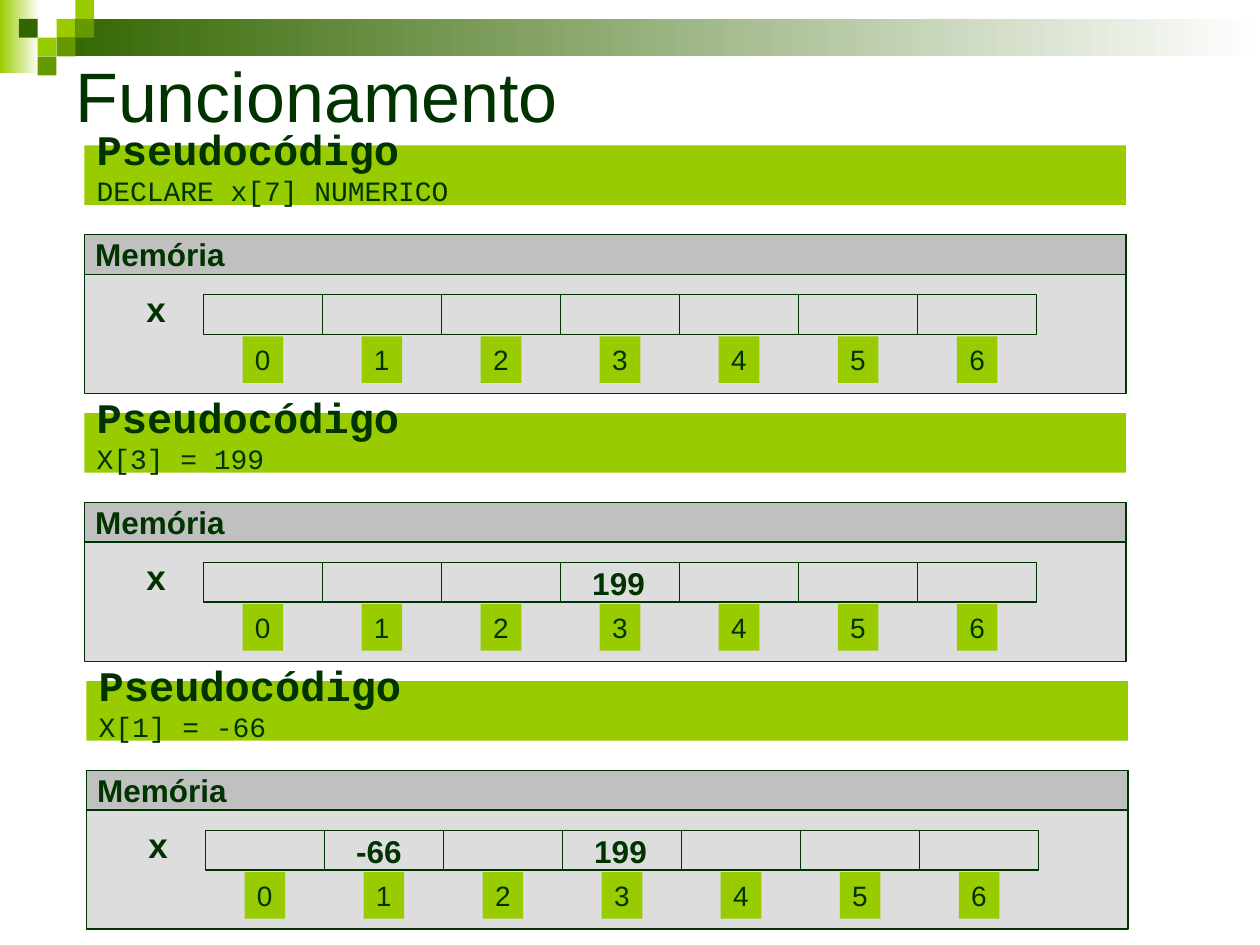
from dataclasses import dataclass

from pptx import Presentation
from pptx.dml.color import RGBColor as Rgb
from pptx.enum.shapes import MSO_SHAPE as Shape
from pptx.enum.text import MSO_ANCHOR as Anchor
from pptx.enum.text import MSO_AUTO_SIZE as AutoSize
from pptx.enum.text import PP_ALIGN as Align
from pptx.util import Cm, Pt


@dataclass(frozen=True)
class Theme:
    ink: str = "003300"
    lime: str = "99CC00"
    green: str = "669900"
    forest: str = "336600"
    memory: str = "DDDDDD"
    strip: str = "C0C0C0"
    white: str = "FFFFFF"
    sans: str = "Arial"
    mono: str = "Courier New"
    title_size: int = 40
    code_heading_size: int = 24
    variable_size: int = 20
    label_size: int = 18
    small_size: int = 16
    outline: float = 0.75


THEME = Theme()
TILE = 0.38
CELL_COUNT = 7
CELL_WIDTH = 2.4
CELLS_LEFT = 2.4


def add_block(shapes, left, top, width, height, fill=None, outlined=False):
    block = shapes.add_shape(Shape.RECTANGLE, Cm(left), Cm(top), Cm(width), Cm(height))
    block.shadow.inherit = False
    if fill:
        block.fill.solid()
        block.fill.fore_color.rgb = Rgb.from_string(fill)
    else:
        block.fill.background()
    if outlined:
        block.line.color.rgb = Rgb.from_string(THEME.ink)
        block.line.width = Pt(THEME.outline)
    else:
        block.line.fill.background()
    return block


def add_fade(shapes, left, top, width, height, start):
    fade = add_block(shapes, left, top, width, height)
    fade.fill.gradient()
    fade.fill.gradient_angle = 0
    for stop, color in zip(fade.fill.gradient_stops, (start, THEME.white)):
        stop.color.rgb = Rgb.from_string(color)


def add_run(paragraph, text, size, font=THEME.sans, bold=False):
    paragraph.alignment = Align.LEFT
    run = paragraph.add_run()
    run.text = text
    run.font.name = font
    run.font.size = Pt(size)
    run.font.bold = bold
    run.font.color.rgb = Rgb.from_string(THEME.ink)


def write_label(holder, text, size, bold=False):
    frame = holder.text_frame
    frame.word_wrap = False
    frame.auto_size = AutoSize.SHAPE_TO_FIT_TEXT
    frame.vertical_anchor = Anchor.TOP
    add_run(frame.paragraphs[0], text, size, bold=bold)


def add_label(shapes, left, top, width, height, text, size):
    label = shapes.add_textbox(Cm(left), Cm(top), Cm(width), Cm(height))
    write_label(label, text, size, bold=True)


def add_corner(slide):
    shapes = slide.shapes.add_group_shape().shapes
    add_fade(shapes, 0, 0, 0.79, 1.47, THEME.lime)
    add_fade(shapes, 3 * TILE, TILE, 24.26, 2 * TILE, THEME.forest)
    tiles = [
        (3, 1, THEME.lime), (4, 0, THEME.lime), (4, 1, THEME.green), (2, 2, THEME.lime),
        (1, 1, THEME.forest), (3, 2, THEME.green), (2, 3, THEME.green),
    ]
    for column, row, color in tiles:
        add_block(shapes, column * TILE, row * TILE, TILE, TILE, color)


def add_title(slide, text):
    title = slide.shapes.add_textbox(Cm(1.27), Cm(0.88), Cm(22.86), Cm(2.06))
    title.text_frame.word_wrap = True
    title.text_frame.vertical_anchor = Anchor.MIDDLE
    add_run(title.text_frame.paragraphs[0], text, THEME.title_size)


def add_code(shapes, left, top, statement):
    frame = add_block(shapes, left, top, 21, 1.2, THEME.lime).text_frame
    frame.word_wrap = True
    frame.auto_size = AutoSize.SHAPE_TO_FIT_TEXT
    frame.vertical_anchor = Anchor.TOP
    frame.margin_top = frame.margin_bottom = 0
    heading, code = frame.paragraphs[0], frame.add_paragraph()
    for paragraph, space in ((heading, 15), (code, 10)):
        paragraph.line_spacing = 0.5
        paragraph.space_before = Pt(space)
    add_run(heading, "Pseudocódigo", THEME.code_heading_size, THEME.mono, bold=True)
    add_run(code, statement, THEME.small_size, THEME.mono)


def add_step(slide, left, top, statement, values):
    shapes = slide.shapes.add_group_shape().shapes
    cells_left = left + CELLS_LEFT
    add_block(shapes, left, top + 1.8, 21, 3.2, THEME.memory, outlined=True)
    add_code(shapes, left, top, statement)
    for index in range(CELL_COUNT):
        cell_left = cells_left + index * CELL_WIDTH
        add_block(shapes, cell_left, top + 3.01, CELL_WIDTH, 0.8, outlined=True)
    add_label(shapes, left + 1, top + 2.74, 0.92, 1.12, "x", THEME.variable_size)
    for index in range(CELL_COUNT):
        index_left = cells_left + 0.79 + index * CELL_WIDTH
        tag = add_block(shapes, index_left, top + 3.85, 0.82, 0.94, THEME.lime)
        write_label(tag, str(index), THEME.small_size)
    add_block(shapes, left, top + 1.8, 21, 0.8, THEME.strip, outlined=True)
    add_label(shapes, left - 0.03, top + 1.68, 3.15, 1.02, "Memória", THEME.label_size)
    for index, value in values:
        value_left = cells_left + index * CELL_WIDTH + 0.39
        add_label(shapes, value_left, top + 2.91, 1.65, 1.02, value, THEME.label_size)


def main():
    deck = Presentation()
    deck.slide_width, deck.slide_height = Cm(25.4), Cm(19.05)
    slide = deck.slides.add_slide(deck.slide_layouts[6])
    add_corner(slide)
    add_title(slide, "Funcionamento")
    steps = [
        (1.7, "DECLARE x[7] NUMERICO", []),
        (1.7, "X[3] = 199", [(3, "199")]),
        (1.74, "X[1] = -66", [(3, "199"), (1, "-66")]),
    ]
    for number, (left, statement, values) in enumerate(steps):
        add_step(slide, left, 2.93 + number * 5.4, statement, values)
    deck.save("out.pptx")


if __name__ == "__main__":
    main()
